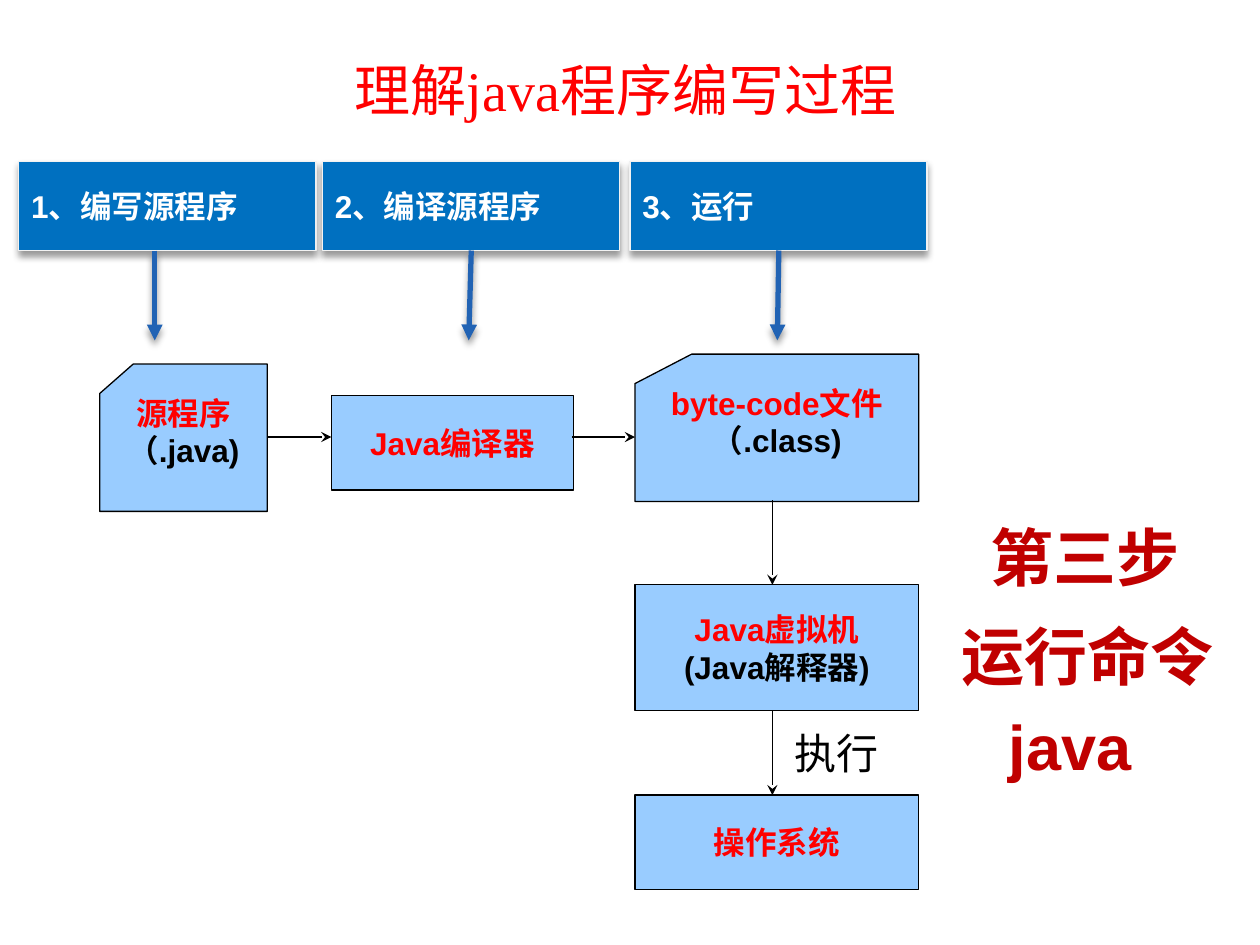
from dataclasses import dataclass

from lxml import etree
from pptx import Presentation
from pptx import util as u
from pptx.dml.color import RGBColor
from pptx.enum import shapes, text
from pptx.oxml import parse_xml
from pptx.oxml.ns import qn

Cm, Pt = u.Cm, u.Pt
Kind = shapes.MSO_SHAPE
Align, Anchor = text.PP_ALIGN, text.MSO_ANCHOR


@dataclass(frozen=True)
class Theme:
    red: str = "FF0000"
    dark_red: str = "C00000"
    black: str = "000000"
    white: str = "FFFFFF"
    banner: str = "0070C0"
    banner_edge: str = "F2F2F2"
    arrow: str = "2163B4"
    node: str = "99CCFF"
    latin: str = "Arial"
    serif: str = "Times New Roman"
    cjk: str = "Noto Sans CJK SC"
    title_size: int = 32
    command_size: int = 36
    label_size: int = 24
    body_size: int = 18


@dataclass(frozen=True)
class Step:
    caption: str
    left: float
    arrow_from: float
    arrow_to: float


@dataclass(frozen=True)
class Node:
    name: str
    detail: str
    kind: Kind
    left: float
    top: float
    width: float
    height: float


@dataclass(frozen=True)
class Label:
    words: str
    left: float
    top: float
    width: float
    height: float
    size: int
    font: str
    color: str
    bold: bool


THEME = Theme()
BANNER_TOP, BANNER_WIDTH, BANNER_HEIGHT = 3.25, 5.99, 1.8
ARROW_END = 6.86
COLUMN_LEFT, COLUMN_WIDTH, COLUMN_AXIS = 12.8, 5.72, 15.57
FLOW_Y = 8.81

STEPS = [
    Step("1、编写源程序", 0.38, 3.12, 3.12),
    Step("2、编译源程序", 6.5, 9.5, 9.45),
    Step("3、运行", 12.7, 15.7, 15.67),
]
NODES = [
    Node("源程序", "（.java)", Kind.FLOWCHART_CARD, 2.01, 7.34, 3.38, 2.97),
    Node("Java编译器", "", Kind.RECTANGLE, 6.68, 7.98, 4.88, 1.9),
    Node("byte-code文件", "（.class)", Kind.FLOWCHART_CARD,
         COLUMN_LEFT, 7.14, COLUMN_WIDTH, 2.97),
    Node("Java虚拟机", "(Java解释器)", Kind.RECTANGLE,
         COLUMN_LEFT, 11.79, COLUMN_WIDTH, 2.54),
    Node("操作系统", "", Kind.RECTANGLE, COLUMN_LEFT, 16.03, COLUMN_WIDTH, 1.9),
]
FLOWS = [
    (5.41, FLOW_Y, 6.68, FLOW_Y),
    (11.53, FLOW_Y, COLUMN_LEFT, FLOW_Y),
    (COLUMN_AXIS, 10.08, COLUMN_AXIS, 11.79),
    (COLUMN_AXIS, 14.33, COLUMN_AXIS, 16.03),
]
COMMAND = (THEME.command_size, THEME.cjk, THEME.dark_red, True)
LABELS = [
    Label("执行", 15.77, 14.53, 2.21, 1.27,
          THEME.label_size, THEME.serif, THEME.black, False),
    Label("第三步", 19.71, 10.31, 4.37, 1.8, *COMMAND),
    Label("运行命令", 19.13, 12.32, 5.66, 1.8, *COMMAND),
    Label("java", 20.09, 14.12, 3.0, 1.8,
          THEME.command_size, THEME.latin, THEME.dark_red, True),
]


def style(paragraph, size: int, font: str, color: str, bold: bool, align) -> None:
    paragraph.alignment = align
    paragraph.font.size = Pt(size)
    paragraph.font.name = font
    paragraph.font.bold = bold
    paragraph.font.color.rgb = RGBColor.from_string(color)


def add_effects(shape, shadow: bool) -> None:
    """Give the shape a soft drop shadow, or none at all."""
    outer = (
        '<a:outerShdw blurRad="50800" dist="38100" dir="5400000" rotWithShape="0">'
        f'<a:srgbClr val="{THEME.black}"><a:alpha val="40000"/></a:srgbClr>'
        "</a:outerShdw>"
    ) if shadow else ""
    shape._element.spPr.append(parse_xml(
        '<a:effectLst xmlns:a="http://schemas.openxmlformats.org/drawingml/2006/main">'
        f"{outer}</a:effectLst>"))


def add_box(slide, kind, left: float, top: float, width: float, height: float,
            fill: str, edge: str, shadow: bool = False):
    box = slide.shapes.add_shape(kind, Cm(left), Cm(top), Cm(width), Cm(height))
    box.fill.solid()
    box.fill.fore_color.rgb = RGBColor.from_string(fill)
    box.line.color.rgb = RGBColor.from_string(edge)
    box.line.width = Pt(0.75)
    add_effects(box, shadow)
    box.text_frame.vertical_anchor = Anchor.MIDDLE
    return box


def add_arrow(slide, x1: float, y1: float, x2: float, y2: float, color: str,
              weight: float, head: str, shadow: bool = False) -> None:
    arrow = slide.shapes.add_connector(
        shapes.MSO_CONNECTOR.STRAIGHT, Cm(x1), Cm(y1), Cm(x2), Cm(y2))
    arrow.line.color.rgb = RGBColor.from_string(color)
    arrow.line.width = Pt(weight)
    etree.SubElement(arrow.line._get_or_add_ln(), qn("a:tailEnd"), type=head)
    add_effects(arrow, shadow)


def add_title(slide) -> None:
    title = slide.shapes.title
    title.left, title.top, title.width, title.height = Cm(5.56), Cm(0.99), Cm(12.83), Cm(1.63)
    frame = title.text_frame
    frame.text = "理解java程序编写过程"
    frame.word_wrap = True
    frame.auto_size = text.MSO_AUTO_SIZE.NONE
    frame.vertical_anchor = Anchor.MIDDLE
    heading = frame.paragraphs[0]
    properties = heading._p.get_or_add_pPr()
    properties.set("marL", str(Cm(2.06)))
    properties.set("indent", str(Cm(-0.79)))
    style(heading, THEME.title_size, THEME.serif, THEME.red, False, Align.CENTER)


def add_step(slide, step: Step) -> None:
    banner = add_box(slide, Kind.ROUNDED_RECTANGLE, step.left, BANNER_TOP, BANNER_WIDTH,
                     BANNER_HEIGHT, THEME.banner, THEME.banner_edge, shadow=True)
    banner.adjustments[0] = 0
    banner.text_frame.text = step.caption
    style(banner.text_frame.paragraphs[0], THEME.body_size, THEME.latin,
          THEME.white, True, Align.LEFT)
    add_arrow(slide, step.arrow_from, BANNER_TOP + BANNER_HEIGHT, step.arrow_to, ARROW_END,
              THEME.arrow, 3, "triangle", shadow=True)


def add_node(slide, node: Node) -> None:
    box = add_box(slide, node.kind, node.left, node.top, node.width, node.height,
                  THEME.node, THEME.black)
    frame = box.text_frame
    frame.word_wrap = False
    if node.kind == Kind.FLOWCHART_CARD:
        frame.vertical_anchor = Anchor.TOP
        frame.margin_top = 0
    frame.text = "\n".join(filter(None, (node.name, node.detail)))
    for paragraph, color in zip(frame.paragraphs, (THEME.red, THEME.black)):
        style(paragraph, THEME.body_size, THEME.latin, color, True, Align.CENTER)


def add_label(slide, label: Label) -> None:
    box = slide.shapes.add_textbox(
        Cm(label.left), Cm(label.top), Cm(label.width), Cm(label.height))
    frame = box.text_frame
    frame.word_wrap = False
    frame.vertical_anchor = Anchor.MIDDLE
    frame.text = label.words
    style(frame.paragraphs[0], label.size, label.font, label.color, label.bold, Align.LEFT)


def main() -> None:
    deck = Presentation()
    deck.slide_width, deck.slide_height = Cm(25.4), Cm(19.05)
    slide = deck.slides.add_slide(deck.slide_layouts[5])
    add_title(slide)

    # Program flow, from source file to operating system
    for node in NODES:
        add_node(slide, node)
    for flow in FLOWS:
        add_arrow(slide, *flow, THEME.black, 0.75, "stealth")

    # Step banners with their arrows
    for step in STEPS:
        add_step(slide, step)

    # Free-standing words
    for label in LABELS:
        add_label(slide, label)
    deck.save("out.pptx")


if __name__ == "__main__":
    main()
